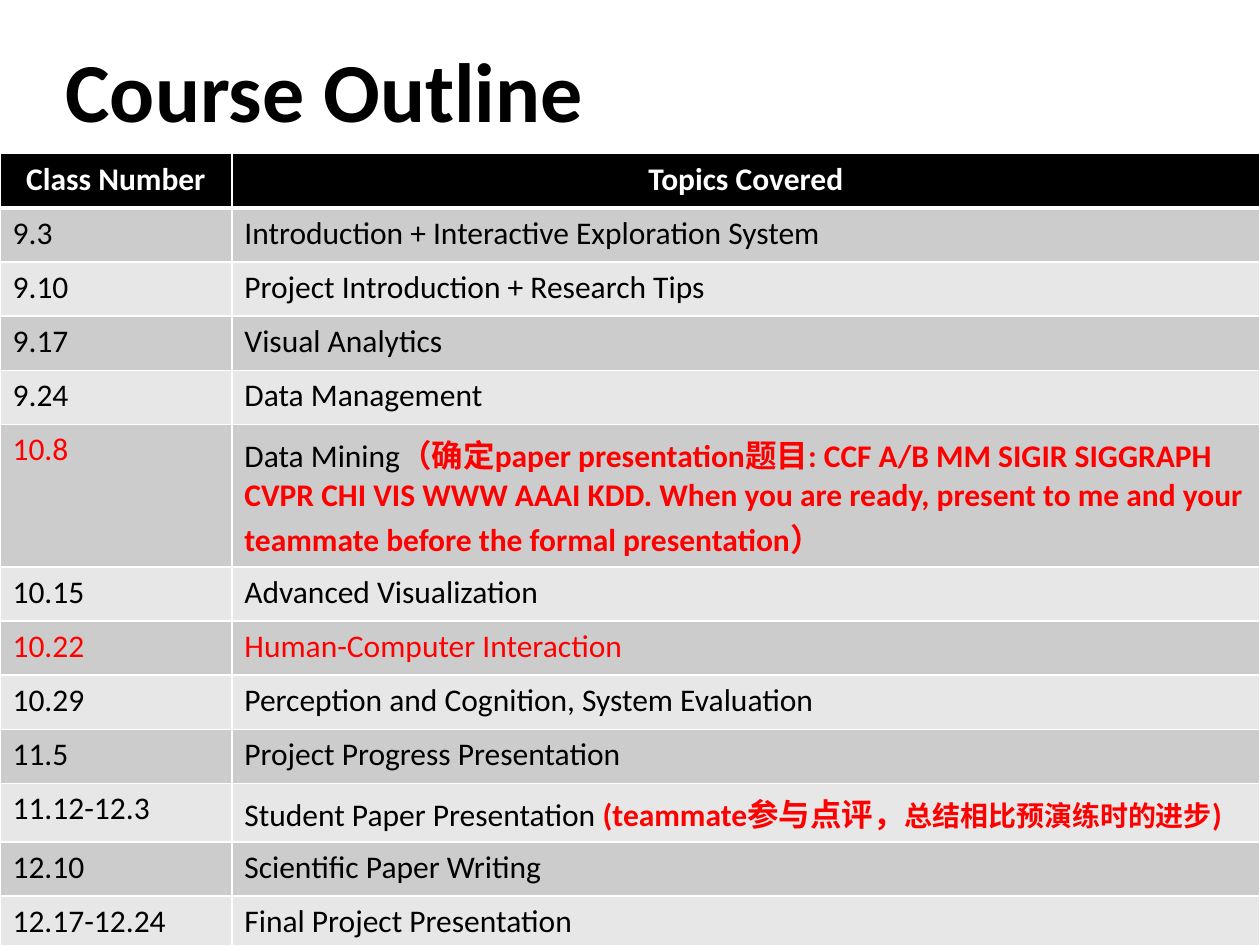
"""Build the course outline slide with its class schedule table."""
import pptx
import pptx.dml.color
import pptx.enum.text
import pptx.oxml
import pptx.oxml.ns
import pptx.util
from pptx.util import Inches

BLACK, WHITE, RED = "000000", "FFFFFF", "FF0000"
HEADER = ("Class Number", "Topics Covered")
MINING_NOTE = (
    "（确定paper presentation题目: CCF A/B MM SIGIR SIGGRAPH CVPR CHI VIS WWW AAAI KDD. "
    "When you are ready, present to me and your teammate before the formal presentation）"
)
REVIEW_NOTES = [("(teammate参与点评，", 18), ("总结相比预演练时的进步", 16), (")", 18)]
CLASSES = [
    ("9.3", BLACK, "Introduction + Interactive Exploration System", BLACK, []),
    ("9.10", BLACK, "Project Introduction + Research Tips", BLACK, []),
    ("9.17", BLACK, "Visual Analytics", BLACK, []),
    ("9.24", BLACK, "Data Management", BLACK, []),
    ("10.8", RED, "Data Mining", BLACK, [(MINING_NOTE, 18)]),
    ("10.15", BLACK, "Advanced Visualization", BLACK, []),
    ("10.22", RED, "Human-Computer Interaction", RED, []),
    ("10.29", BLACK, "Perception and Cognition, System Evaluation", BLACK, []),
    ("11.5", BLACK, "Project Progress Presentation", BLACK, []),
    ("11.12-12.3", BLACK, "Student Paper Presentation ", BLACK, REVIEW_NOTES),
    ("12.10", BLACK, "Scientific Paper Writing", BLACK, []),
    ("12.17-12.24", BLACK, "Final Project Presentation", BLACK, []),
]


def style_font(font, size, color, bold=False):
    """Set typeface, size, colour and weight of a font."""
    font.name = "Calibri"
    font.size = pptx.util.Pt(size)
    font.bold = bold
    font.color.rgb = pptx.dml.color.RGBColor.from_string(color)


def add_title(slide, text):
    """Place and format the slide title."""
    title = slide.shapes.title
    title.left, title.top = Inches(0.42), Inches(0.2)
    title.width, title.height = Inches(9.26), Inches(1.12)
    title.text_frame.text = text
    title.text_frame.vertical_anchor = pptx.enum.text.MSO_ANCHOR.MIDDLE
    heading = title.text_frame.paragraphs[0]
    heading.alignment = pptx.enum.text.PP_ALIGN.LEFT
    heading.line_spacing = 0.9
    style_font(heading.font, 48, BLACK, True)


def set_borders(cell, top=1, bottom=1):
    """Draw white borders around a cell, with widths in points."""
    properties = cell._tc.get_or_add_tcPr()
    for side, width in (("L", 1), ("R", 1), ("T", top), ("B", bottom)):
        properties.append(pptx.oxml.parse_xml(
            f'<a:ln{side} {pptx.oxml.ns.nsdecls("a")} w="{pptx.util.Pt(width)}">'
            f'<a:solidFill><a:srgbClr val="{WHITE}"/></a:solidFill></a:ln{side}>'))


def fill_cell(cell, text, color, background, bold=False, notes=()):
    """Fill a cell with text followed by bold red notes."""
    cell.fill.solid()
    cell.fill.fore_color.rgb = pptx.dml.color.RGBColor.from_string(background)
    entry = cell.text_frame.paragraphs[0]
    topic = entry.add_run()
    topic.text = text
    if not notes:
        style_font(entry.font, 18, color, bold)
        return
    style_font(topic.font, 18, color, bold)
    for note_text, size in notes:
        note = entry.add_run()
        note.text = note_text
        style_font(note.font, size, RED, True)


def add_schedule(slide):
    """Add the table of class dates and topics."""
    row_count = len(CLASSES) + 1
    schedule = slide.shapes.add_table(
        row_count, 2, 0, Inches(1.22), Inches(10), Inches(0.43 * row_count)).table
    for column, width in zip(schedule.columns, (1.84, 8.16)):
        column.width = Inches(width)
    for row in schedule.rows:
        row.height = Inches(0.43)

    for column, heading in enumerate(HEADER):
        cell = schedule.cell(0, column)
        set_borders(cell, bottom=3)
        fill_cell(cell, heading, WHITE, BLACK, bold=True)
        cell.text_frame.paragraphs[0].alignment = pptx.enum.text.PP_ALIGN.CENTER

    for row, (date, date_color, topic, topic_color, notes) in enumerate(CLASSES, 1):
        band = "CCCCCC" if row % 2 else "E7E7E7"
        date_cell, topic_cell = schedule.cell(row, 0), schedule.cell(row, 1)
        for cell in (date_cell, topic_cell):
            set_borders(cell, top=3 if row == 1 else 1)
        fill_cell(date_cell, date, date_color, band)
        fill_cell(topic_cell, topic, topic_color, band, notes=notes)


def main():
    """Build and save the presentation."""
    presentation = pptx.Presentation()
    presentation.slide_width, presentation.slide_height = Inches(10), Inches(7.5)
    slide = presentation.slides.add_slide(presentation.slide_layouts[5])
    add_title(slide, "Course Outline")
    add_schedule(slide)
    presentation.save("out.pptx")


if __name__ == "__main__":
    main()
